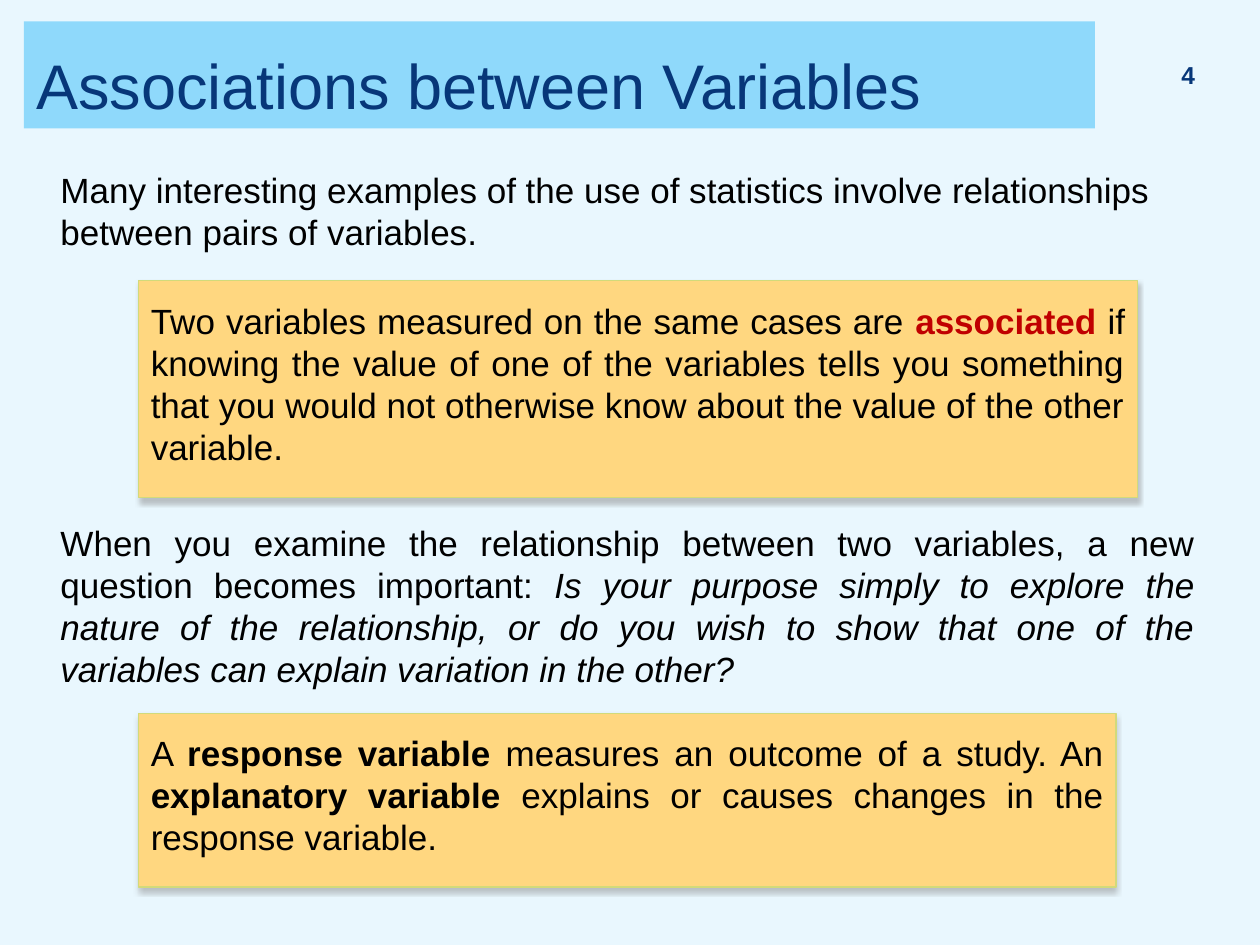
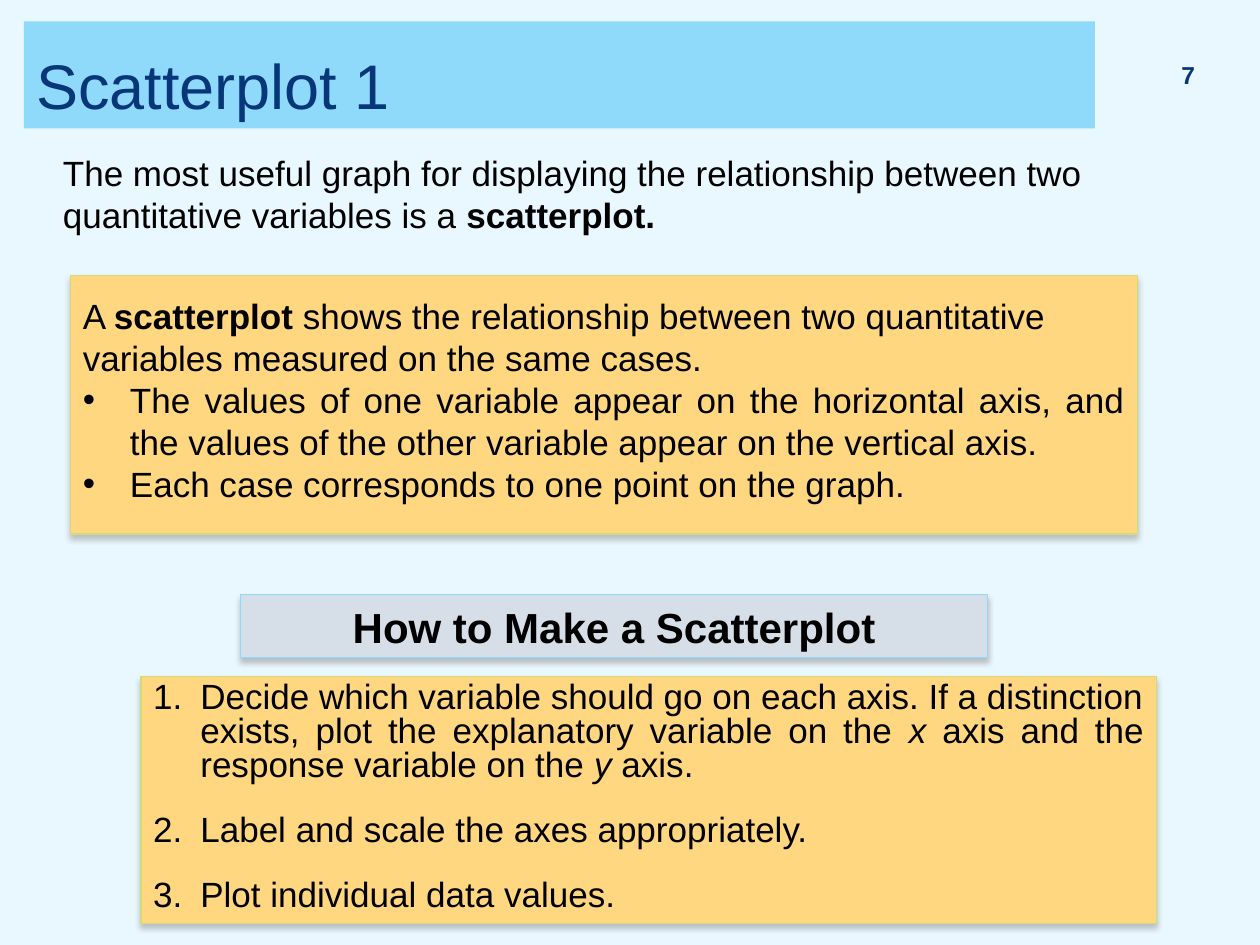
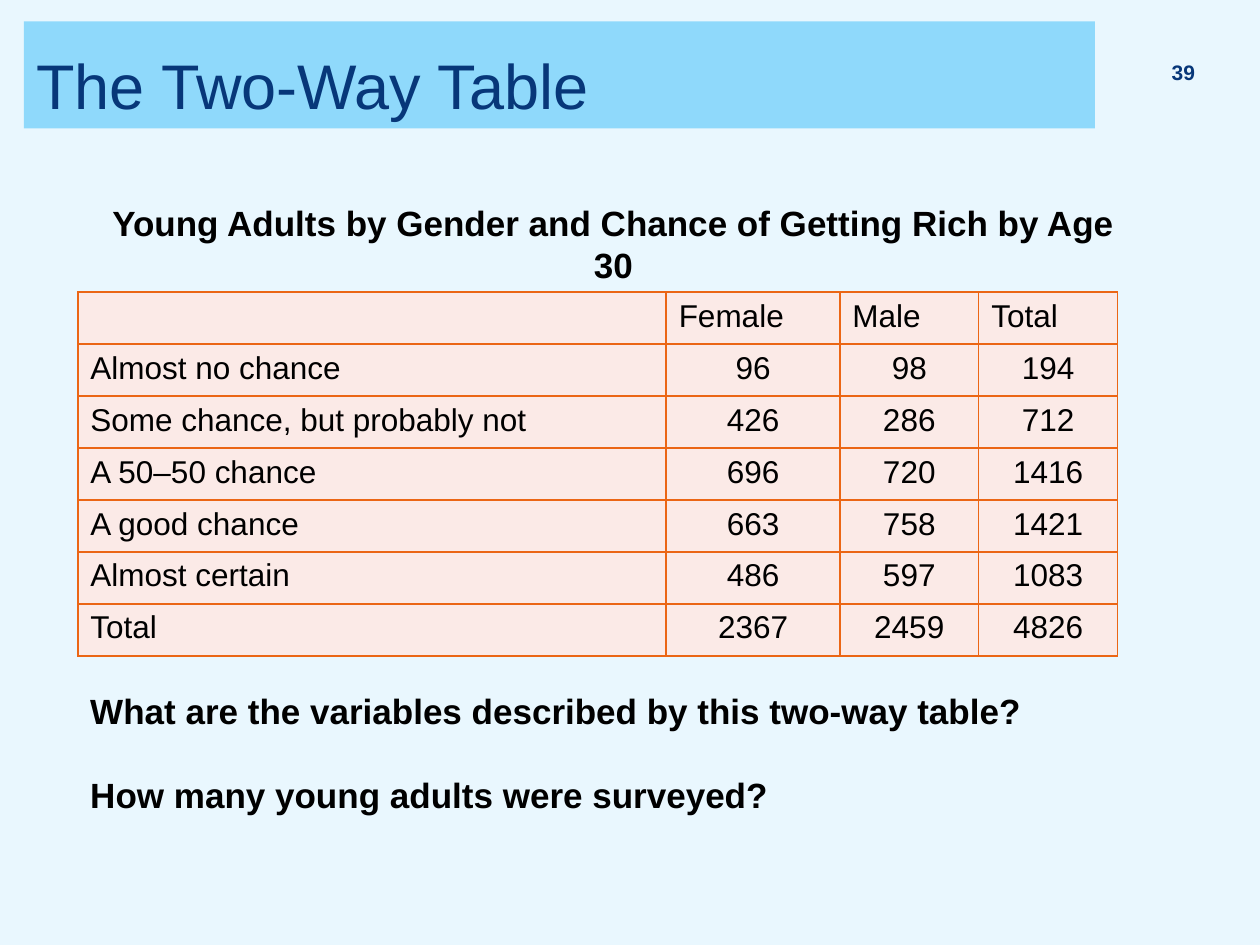
from lxml import etree
from pptx import Presentation
from pptx import util as u
from pptx.dml.color import RGBColor
from pptx.enum import shapes, text
from pptx.oxml.ns import qn

LEFT, CENTER = text.PP_ALIGN.LEFT, text.PP_ALIGN.CENTER
RIGHT, JUSTIFY = text.PP_ALIGN.RIGHT, text.PP_ALIGN.JUSTIFY


def color(hex_code):
    return RGBColor.from_string(hex_code)


def add_xml(parent, tag, **attributes):
    child = etree.SubElement(parent, qn(tag))
    for key, value in attributes.items():
        child.set(key, str(value))
    return child


def box(left, top, width, height):
    return u.Cm(left), u.Cm(top), u.Cm(width), u.Cm(height)


class Lecture:
    FONT = "Arial"
    BACKGROUND = "E9F7FE"
    BAND = "8FD9FB"
    NAVY = "073779"
    BLACK = "000000"
    RED = "C00000"
    CARD = ("FFD780", "D2DA7A")
    HEADING = ("D6DFE8", BAND)
    CELL = "FBEAE7"
    RULE = "EB6615"
    BODY = 20
    INDENT = u.Cm(0.95)

    def __init__(self):
        self.deck = Presentation()
        self.deck.slide_width, self.deck.slide_height = u.Cm(25.4), u.Cm(19.05)
        backdrop = self.deck.slide_master.background.fill
        backdrop.solid()
        backdrop.fore_color.rgb = color(self.BACKGROUND)
        self.slide = None

    def style(self, font, size, shade=BLACK, bold=False, italic=False):
        font.name, font.size = self.FONT, u.Pt(size)
        font.bold, font.italic = bold, italic
        font.color.rgb = color(shade)

    def new_slide(self, title, number, number_size=14, number_spacing=None):
        self.slide = self.deck.slides.add_slide(self.deck.slide_layouts[5])
        band = self.slide.shapes.title
        band.left, band.top, band.width, band.height = box(0.48, 0.43, 21.59, 2.16)
        band.fill.solid()
        band.fill.fore_color.rgb = color(self.BAND)
        frame = band.text_frame
        frame.text = title
        frame.auto_size = text.MSO_AUTO_SIZE.NONE
        frame.vertical_anchor = text.MSO_ANCHOR.BOTTOM
        heading = frame.paragraphs[0]
        heading.alignment = LEFT
        self.style(heading.runs[0].font, 36, self.NAVY)

        corner = self.slide.shapes.add_textbox(*box(22.94, 0.99, 1.4, 1.02)).text_frame
        corner.text = number
        corner.word_wrap = True
        corner.vertical_anchor = text.MSO_ANCHOR.MIDDLE
        label = corner.paragraphs[0]
        label.alignment = RIGHT
        label.line_spacing = number_spacing
        self.style(label.runs[0].font, number_size, self.NAVY, bold=True)

    def paragraph(self, frame, parts, align=LEFT, size=BODY, marker=None,
                  line=None, before=None, after=None):
        first = frame.paragraphs[0]
        paragraph = first if not first.runs else frame.add_paragraph()
        paragraph.alignment = align
        paragraph.line_spacing = line
        if before is not None:
            paragraph.space_before = u.Pt(before)
        if after is not None:
            paragraph.space_after = u.Pt(after)
        if marker:
            properties = paragraph._p.get_or_add_pPr()
            properties.set("marL", str(self.INDENT))
            properties.set("indent", str(-self.INDENT))
            add_xml(properties, "a:buFont", typeface=self.FONT)
            if marker == "number":
                add_xml(properties, "a:buAutoNum", type="arabicPeriod")
            else:
                add_xml(properties, "a:buChar", char=marker)
        for part in parts:
            words, mark = part if isinstance(part, tuple) else (part, "")
            run = paragraph.add_run()
            run.text = words
            self.style(run.font, size, self.RED if mark == "key" else self.BLACK,
                       bold=mark in ("bold", "key"), italic=mark == "italic")

    def prose(self, place, *paragraphs):
        frame = self.slide.shapes.add_textbox(*box(*place)).text_frame
        frame.word_wrap = True
        for parts, options in paragraphs:
            self.paragraph(frame, parts, **options)

    def panel(self, place, colors, *paragraphs, inset=0.13):
        panel = self.slide.shapes.add_shape(shapes.MSO_SHAPE.RECTANGLE, *box(*place))
        fill, outline = colors
        panel.fill.solid()
        panel.fill.fore_color.rgb = color(fill)
        panel.line.color.rgb = color(outline)
        panel.line.width = u.Pt(0.79)
        panel.shadow.inherit = False
        effects = panel._element.spPr.find(qn("a:effectLst"))
        shadow = add_xml(effects, "a:outerShdw", blurRad=u.Pt(3), dist=u.Pt(2.4),
                         dir=5400000, rotWithShape=0)
        add_xml(add_xml(shadow, "a:srgbClr", val="808080"), "a:alpha", val=45000)
        frame = panel.text_frame
        frame.word_wrap = True
        frame.vertical_anchor = text.MSO_ANCHOR.TOP
        frame.margin_top = u.Cm(inset)
        for parts, options in paragraphs:
            self.paragraph(frame, parts, **options)

    def table(self, place, widths, rows):
        grid = self.slide.shapes.add_table(len(rows), len(widths), *box(*place)).table
        grid.first_row = grid.horz_banding = False
        for column, width in zip(grid.columns, widths):
            column.width = u.Cm(width)
        for r, row in enumerate(rows):
            for c, value in enumerate(row):
                cell = grid.cell(r, c)
                cell.text = value
                entry = cell.text_frame.paragraphs[0]
                entry.alignment = CENTER if r and c else LEFT
                self.style(entry.font, 18)
                for run in entry.runs:
                    self.style(run.font, 18)
                self.border(cell)
                cell.fill.solid()
                cell.fill.fore_color.rgb = color(self.CELL)

    def border(self, cell):
        properties = cell._tc.get_or_add_tcPr()
        for side in ("L", "R", "T", "B"):
            edge = add_xml(properties, f"a:ln{side}", w=u.Pt(1))
            add_xml(add_xml(edge, "a:solidFill"), "a:srgbClr", val=self.RULE)


def associations(lecture):
    lecture.new_slide("Associations between Variables", "4")
    lecture.prose((0.97, 3.28, 23.37, 2.01), ([
        "Many interesting examples of the use of statistics involve relationships "
        "between pairs of variables."], {}))
    lecture.panel((2.79, 5.66, 20.14, 4.37), lecture.CARD, ([
        "Two variables measured on the same cases are ",
        ("associated ", "key"),
        "if knowing the value of one of the variables tells you something that you "
        "would not otherwise know about the value of the other variable."],
        {"align": JUSTIFY}), inset=0.37)
    lecture.prose((0.97, 10.39, 23.37, 3.63), ([
        "When you examine the relationship between two variables, a new question "
        "becomes important: ",
        ("Is your purpose simply to explore the nature of the relationship, or do you "
         "wish to show that one of the variables can explain variation in the other?",
         "italic")], {"align": JUSTIFY}))
    lecture.panel((2.79, 14.38, 19.71, 3.5), lecture.CARD, ([
        "A ", ("response variable", "bold"),
        " measures an outcome of a study. An ", ("explanatory variable", "bold"),
        " explains or causes changes in the response variable."],
        {"align": JUSTIFY}), inset=0.37)


def scatterplot(lecture):
    lecture.new_slide("Scatterplot 1", "7")
    lecture.prose((1.02, 2.92, 23.37, 2.01), ([
        "The most useful graph for displaying the relationship between two "
        "quantitative variables is a ", ("scatterplot.", "bold")], {}))
    lecture.panel(
        (1.42, 5.56, 21.51, 5.21), lecture.CARD,
        (["A ", ("scatterplot", "bold"),
          " shows the relationship between two quantitative variables measured on "
          "the same cases."], {}),
        (["The values of one variable appear on the horizontal axis, and the values "
          "of the other variable appear on the vertical axis."],
         {"align": JUSTIFY, "marker": "•"}),
        (["Each case corresponds to one point on the graph."], {"marker": "•"}),
        inset=0.37)
    lecture.panel((4.85, 11.99, 15.06, 1.27), lecture.HEADING,
                  ([("How to Make a Scatterplot", "bold")],
                   {"align": CENTER, "size": 24}))
    step = {"marker": "number", "line": 0.8, "after": 18}
    lecture.panel(
        (2.84, 13.64, 20.47, 4.98), lecture.CARD,
        (["Decide which variable should go on each axis. If a distinction exists, "
          "plot the explanatory variable on the ", ("x ", "italic"),
          "axis and the response variable on the ", ("y ", "italic"), "axis."],
         {**step, "align": JUSTIFY}),
        (["Label and scale the axes appropriately."], step),
        (["Plot individual data values."], step))


def two_way_table(lecture):
    lecture.new_slide("The Two-Way Table", "39", number_size=12, number_spacing=0.8)
    lecture.prose((1.57, 3.94, 21.59, 1.96), ([
        ("Young Adults by Gender and Chance of Getting Rich by Age 30", "bold")],
        {"align": CENTER}))
    lecture.prose(
        (1.57, 13.77, 20.09, 2.82),
        ([("What are the variables described by this two-way table?", "bold")], {}),
        ([("How many young adults were surveyed?", "bold")], {"before": 24}))
    lecture.table((1.57, 5.89, 20.96, 7.34), (11.86, 3.5, 2.8, 2.8), [
        ("", "Female", "Male", "Total"),
        ("Almost no chance", "96", "98", "194"),
        ("Some chance, but probably not", "426", "286", "712"),
        ("A 50–50 chance", "696", "720", "1416"),
        ("A good chance", "663", "758", "1421"),
        ("Almost certain", "486", "597", "1083"),
        ("Total", "2367", "2459", "4826"),
    ])


def main():
    lecture = Lecture()
    associations(lecture)
    scatterplot(lecture)
    two_way_table(lecture)
    lecture.deck.save("out.pptx")


if __name__ == "__main__":
    main()
